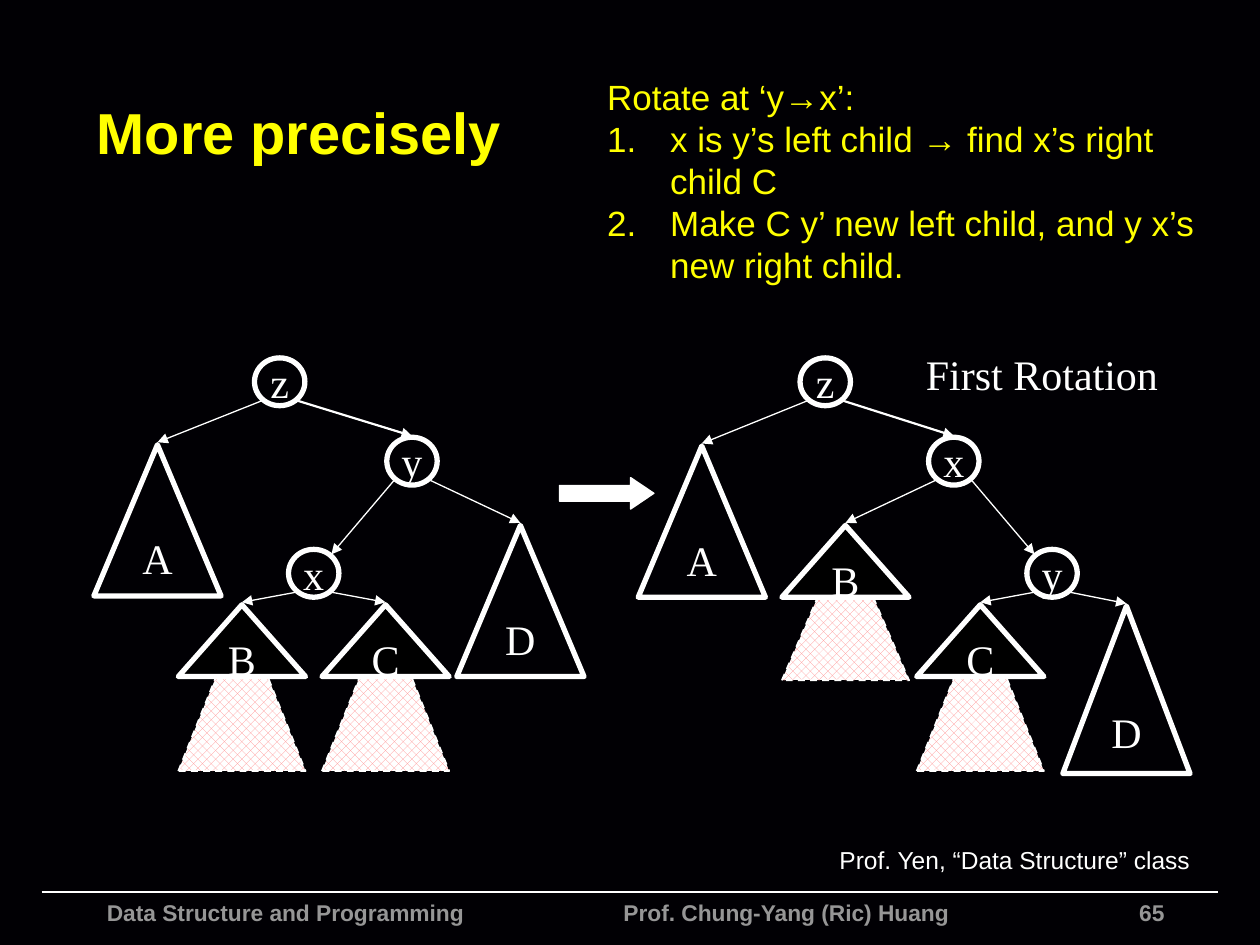
"""Build a slide showing the first rotation of a binary search tree."""
from lxml.etree import SubElement
from pptx import Presentation
from pptx.dml.color import RGBColor
from pptx.enum.dml import MSO_LINE, MSO_PATTERN
from pptx.enum.shapes import MSO_CONNECTOR, MSO_SHAPE
from pptx.enum.text import MSO_ANCHOR, PP_ALIGN
from pptx.oxml.ns import qn
from pptx.util import Inches, Pt

COLORS = {name: RGBColor.from_string(value) for name, value in {
    "background": "010004", "white": "FFFFFF", "black": "000000",
    "yellow": "FFFF00", "gray": "969696", "pink": "FF9191"}.items()}
NODE_WIDTH, NODE_HEIGHT = 0.4, 0.38
TREE_WIDTH, CAP_HEIGHT = 1.01, 0.57

deck = Presentation()
deck.slide_width, deck.slide_height = Inches(10), Inches(7.5)
page = deck.slides.add_slide(deck.slide_layouts[6])
page.background.fill.solid()
page.background.fill.fore_color.rgb = COLORS["background"]


def add_text(bounds, lines, size, color, font="Arial", bold=False,
             align=PP_ALIGN.LEFT, wrap=True, numbered=False, tab=None):
    box = page.shapes.add_textbox(*map(Inches, bounds))
    frame = box.text_frame
    frame.word_wrap = wrap
    for index, line in enumerate(lines):
        para = frame.paragraphs[0] if index == 0 else frame.add_paragraph()
        para.text = line
        para.alignment = align
        properties = para._p.get_or_add_pPr()
        if numbered and index:
            properties.set("marL", str(Inches(0.5)))
            properties.set("indent", str(-Inches(0.5)))
            SubElement(properties, qn("a:buFont"), typeface="+mj-lt")
            SubElement(properties, qn("a:buAutoNum"), type="arabicPeriod")
        if tab:
            stops = SubElement(properties, qn("a:tabLst"))
            SubElement(stops, qn("a:tab"), pos=str(Inches(tab)), algn="l")
        para.font.name, para.font.size, para.font.bold = font, Pt(size), bold
        para.font.color.rgb = COLORS[color]
    return frame


def add_outline(kind, bounds, label="", fill=None, line_width=3):
    shape = page.shapes.add_shape(kind, *map(Inches, bounds))
    shape.shadow.inherit = False
    if fill:
        shape.fill.solid()
        shape.fill.fore_color.rgb = COLORS[fill]
    else:
        shape.fill.background()
    shape.line.color.rgb = COLORS["white"]
    shape.line.width = Pt(line_width)
    if label:
        frame = shape.text_frame
        frame.word_wrap = False
        frame.vertical_anchor = MSO_ANCHOR.MIDDLE
        para = frame.paragraphs[0]
        para.text = label
        para.alignment = PP_ALIGN.CENTER
        para.font.name, para.font.size = "Times New Roman", Pt(24)
        para.font.color.rgb = COLORS["white"]
    return shape


lines = [((0.33, 7.08), (9.67, 7.08), 1, False)]

add_text((6.17, 7.08, 3.17, 0.18), ["65"], 13, "gray", bold=True, align=PP_ALIGN.RIGHT)
add_text((0.75, 7.08, 7.24, 0.42),
         ["Data Structure and Programming\tProf. Chung-Yang (Ric) Huang"],
         13, "gray", bold=True, tab=4.1)
title = add_text((0.67, 0.42, 8.5, 1.25), ["More precisely"], 33, "yellow", bold=True)
title.vertical_anchor = MSO_ANCHOR.MIDDLE

arrow = add_outline(MSO_SHAPE.RIGHT_ARROW, (4.44, 3.79, 0.75, 0.25), fill="white", line_width=0.75)
arrow.adjustments[1] = 0.741

# Nodes give the centre; subtrees give apex, full height and whether they are capped.
trees = [
    {"nodes": {"z": (2.22, 3.03), "y": (3.27, 3.66), "x": (2.49, 4.55)},
     "subtrees": {"A": (1.25, 3.53, 1.2, False), "D": (4.13, 4.17, 1.2, False),
                  "C": (3.06, 4.8, 1.32, True), "B": (1.92, 4.8, 1.32, True)},
     "edges": ["zy", "zA", "yx", "yD", "xC", "xB"]},
    {"nodes": {"z": (6.55, 3.03), "x": (7.57, 3.66), "y": (8.35, 4.55)},
     "subtrees": {"A": (5.57, 3.54, 1.2, False), "C": (7.78, 4.8, 1.32, True),
                  "B": (6.71, 4.17, 1.23, True), "D": (8.94, 4.81, 1.33, False)},
     "edges": ["zx", "zA", "xy", "xB", "yC", "yD"]},
]

for tree in trees:
    nodes, subtrees = tree["nodes"], tree["subtrees"]
    for parent, child in tree["edges"]:
        parent_x, parent_y = nodes[parent]
        child_x, child_y = nodes.get(child) or subtrees[child][:2]
        side = 1 if child_x > parent_x else -1
        start = (parent_x + side * 0.14, parent_y + 0.15)
        if child in subtrees:
            end = (child_x, child_y - 0.02)
        elif parent == "z":
            end = (child_x, child_y - 0.2)
        else:
            end = (child_x - side * 0.14, child_y - 0.15)
        lines.append((start, end, 1.25 if parent == "z" and child in nodes else 0.75, True))

    for label, (center_x, center_y) in nodes.items():
        add_outline(MSO_SHAPE.OVAL, (center_x - NODE_WIDTH / 2, center_y - NODE_HEIGHT / 2,
                                     NODE_WIDTH, NODE_HEIGHT), label)

    for label, (apex, top, height, capped) in subtrees.items():
        left = apex - TREE_WIDTH / 2
        if not capped:
            add_outline(MSO_SHAPE.ISOSCELES_TRIANGLE, (left, top, TREE_WIDTH, height), label)
            continue
        body = add_outline(MSO_SHAPE.ISOSCELES_TRIANGLE,
                           (left, top + 0.06, TREE_WIDTH, height - 0.06), line_width=1)
        body.line.dash_style = MSO_LINE.DASH
        body.fill.patterned()
        body.fill.pattern = MSO_PATTERN.PERCENT_50
        body.fill.fore_color.rgb = COLORS["pink"]
        body.fill.back_color.rgb = COLORS["white"]
        add_outline(MSO_SHAPE.ISOSCELES_TRIANGLE, (left, top, TREE_WIDTH, CAP_HEIGHT),
                    label, fill="black")

for start, end, width, arrowhead in lines:
    connector = page.shapes.add_connector(MSO_CONNECTOR.STRAIGHT, *map(Inches, start + end))
    connector.line.color.rgb = COLORS["white"]
    connector.line.width = Pt(width)
    if arrowhead:
        SubElement(connector.line._get_or_add_ln(), qn("a:tailEnd"), type="triangle")
    SubElement(connector._element.spPr, qn("a:effectLst"))

add_text((7.25, 2.72, 2.04, 0.5), ["First Rotation"], 24, "white",
         font="Times New Roman", align=PP_ALIGN.RIGHT, wrap=False)
credit = add_text((6.61, 6.66, 2.89, 0.33), ["Prof. Yen, “Data Structure” class"],
                  14, "white", align=PP_ALIGN.CENTER, wrap=False)
credit.margin_left = credit.margin_right = Inches(0.05)
add_text((4.72, 0.55, 4.88, 1.78),
         ["Rotate at ‘y→x’:",
          "x is y’s left child → find x’s right child C",
          "Make C y’ new left child, and y x’s new right child."],
         20, "yellow", numbered=True)

deck.save("out.pptx")
